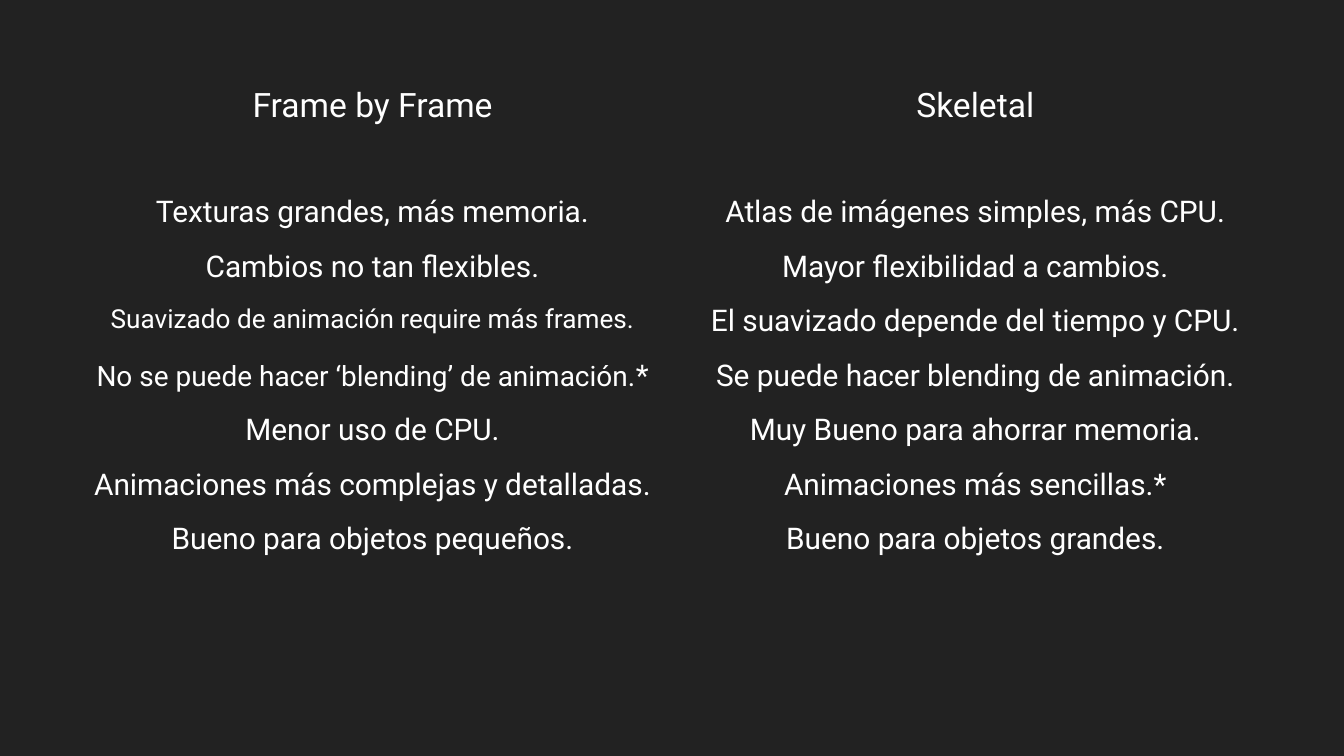
from pptx import Presentation
from pptx.dml.color import RGBColor
from pptx.enum import text
from pptx.util import Inches, Pt

HEADERS = ("Frame by Frame", "Skeletal")
COMPARISON = [
    ("Texturas grandes, más memoria.", "Atlas de imágenes simples, más CPU."),
    ("Cambios no tan flexibles.", "Mayor flexibilidad a cambios."),
    ([("Suavizado de animación require más frames.", "small")],
     "El suavizado depende del tiempo y CPU."),
    ([("No se puede hacer ‘blending’ de animación.", "medium"), ("*", "body")],
     "Se puede hacer blending de animación."),
    ("Menor uso de CPU.", "Muy Bueno para ahorrar memoria."),
    ("Animaciones más complejas y detalladas.", "Animaciones más sencillas.*"),
    ("Bueno para objetos pequeños.", "Bueno para objetos grandes."),
]
ROWS = [HEADERS, ("", "")] + COMPARISON

THEME = {
    "font": "Roboto",
    "background": RGBColor.from_string("222222"),
    "text": RGBColor.from_string("FFFFFF"),
    "sizes": {"header": 18, "body": 16, "medium": 15, "small": 14},
}
PLAIN_TABLE_STYLE = "{2D5ABB26-0587-4C30-8999-92F81FD0307C}"


def write_text(paragraph, content, size="body", align=text.PP_ALIGN.CENTER):
    paragraph.alignment = align
    parts = [(content, size)] if isinstance(content, str) else content
    for words, part_size in parts:
        if not words:
            continue
        run = paragraph.add_run()
        run.text = words
        run.font.name = THEME["font"]
        run.font.size = Pt(THEME["sizes"][part_size])
        run.font.color.rgb = THEME["text"]


def add_comparison(slide):
    frame = slide.shapes.add_table(
        len(ROWS), len(HEADERS),
        Inches(0.53), Inches(0.59), Inches(8.97), Inches(3.65))
    table = frame.table
    table.first_row = False
    table.horz_banding = False
    table._tbl.tblPr.find("{*}tableStyleId").text = PLAIN_TABLE_STYLE
    for row_index, row in enumerate(ROWS):
        size = "header" if row_index == 0 else "body"
        for column_index, content in enumerate(row):
            cell = table.cell(row_index, column_index)
            cell.fill.background()
            write_text(cell.text_frame.paragraphs[0], content, size=size)


def main():
    presentation = Presentation()
    presentation.slide_width = Inches(10)
    presentation.slide_height = presentation.slide_width * 9 // 16
    slide = presentation.slides.add_slide(presentation.slide_layouts[6])
    slide.background.fill.solid()
    slide.background.fill.fore_color.rgb = THEME["background"]
    add_comparison(slide)
    presentation.save("out.pptx")


if __name__ == "__main__":
    main()
